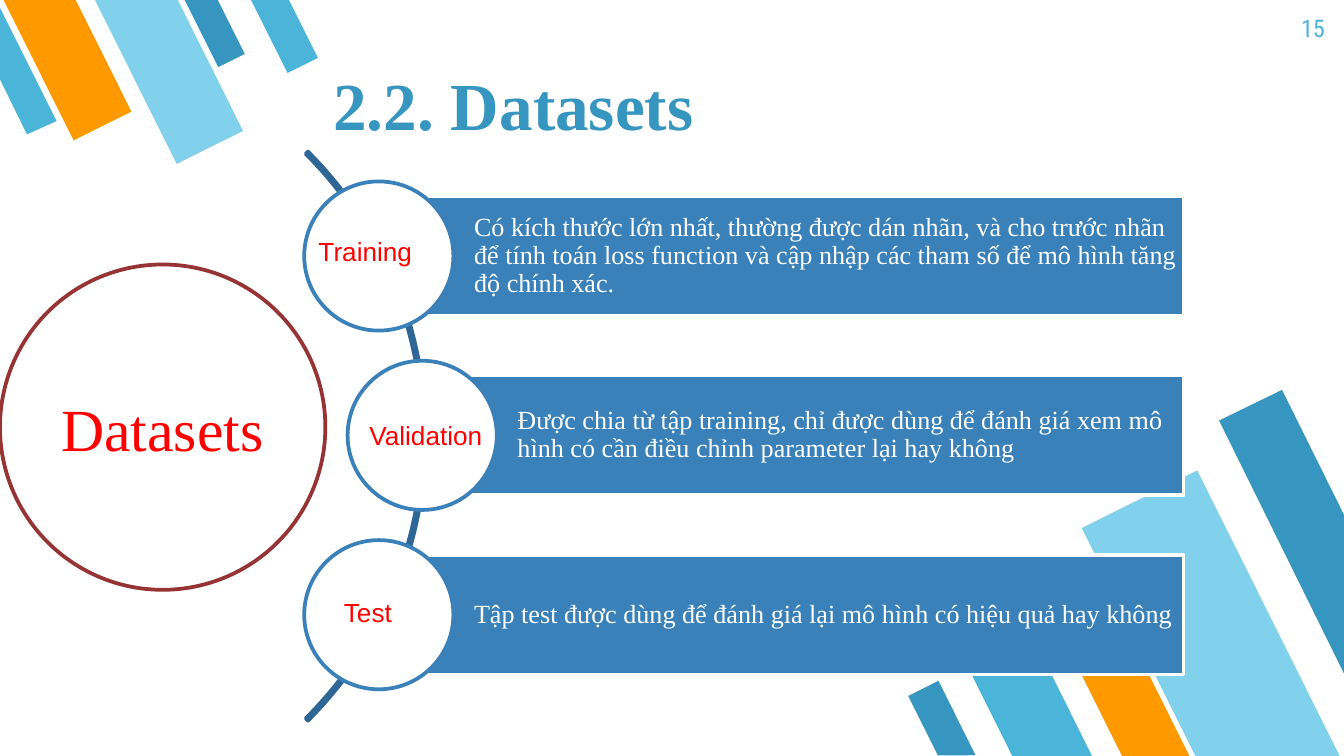
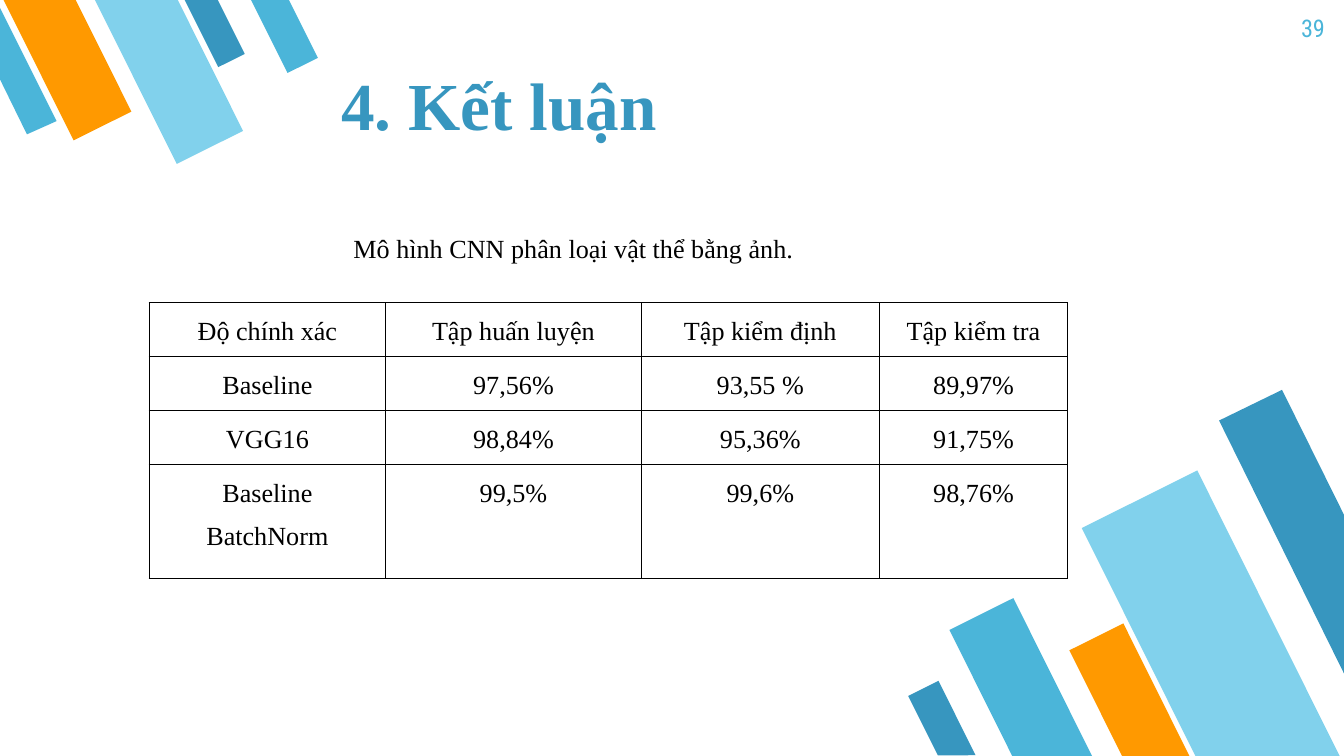
"""Builds the datasets slide and the conclusion slide of a CNN talk."""
from dataclasses import dataclass

from lxml.etree import SubElement
from pptx import Presentation
from pptx.dml.color import RGBColor
from pptx.enum.shapes import MSO_SHAPE
from pptx.enum.text import MSO_ANCHOR, MSO_AUTO_SIZE, PP_ALIGN
from pptx.oxml.ns import qn
from pptx.util import Cm, Pt


@dataclass(frozen=True)
class Theme:
    sky: str = "4BB5D9"
    pale: str = "81D1EC"
    orange: str = "FF9900"
    teal: str = "3796BF"
    bar: str = "3A81BA"
    arc: str = "2E6795"
    ring: str = "963334"
    red: str = "FF0000"
    white: str = "FFFFFF"
    black: str = "000000"
    serif: str = "Times New Roman"
    sans: str = "Arial"
    condensed: str = "Roboto Condensed"
    title: int = 36
    hub: int = 32
    body: int = 14
    number: int = 13


T = Theme()
WIDTH, HEIGHT = 25.4, 14.29
LOWER_TURN, UPPER_TURN = 153.5, 333.5
BANDS = [
    (18.62, 11.43, 1.35, 3.35, LOWER_TURN, T.sky),
    (21.67, 9.12, 2.44, 6.07, LOWER_TURN, T.pale),
    (20.78, 11.89, 1.14, 2.82, LOWER_TURN, T.orange),
    (17.48, 12.93, 0.64, 1.57, LOWER_TURN, T.teal),
    (3.78, -0.2, 0.56, 1.42, UPPER_TURN, T.teal),
    (0.66, -0.46, 1.22, 3, UPPER_TURN, T.orange),
    (2.49, -0.51, 1.4, 3.48, UPPER_TURN, T.pale),
    (5.05, -0.25, 0.64, 1.57, UPPER_TURN, T.sky),
]
CUT_BANDS = [
    ([(24.23, 7.37), (23.04, 7.95), (WIDTH, 12.73), (WIDTH, 9.73)], T.teal),
    ([(0.51, 2.54), (1.07, 2.29), (0, 0.15), (0, 1.5)], T.sky),
]
DATASETS = [
    ("Training", (5.77, 4.32, 2.31, 0.86), 7.16,
     "Có kích thước lớn nhất, thường được dán nhãn, và cho trước nhãn để tính "
     "toán loss function và cập nhập các tham số để mô hình tăng độ chính xác."),
    ("Validation", (6.73, 7.8, 2.84, 0.86), 7.98,
     "Được chia từ tập training, chỉ được dùng để đánh giá xem mô hình có cần "
     "điều chỉnh parameter lại hay không"),
    ("Test", (6.25, 11.15, 1.63, 0.86), 7.16,
     "Tập test được dùng để đánh giá lại mô hình có hiệu quả hay không"),
]
BAR_TOP, BAR_PITCH, BAR_HEIGHT, BAR_RIGHT, CIRCLE = 3.71, 3.39, 2.26, 22.37, 2.82
ACCURACY = [
    ("Độ chính xác", "Tập huấn luyện", "Tập kiểm định", "Tập kiểm tra"),
    ("Baseline", "97,56%", "93,55 %", "89,97%"),
    ("VGG16", "98,84%", "95,36%", "91,75%"),
    ("Baseline BatchNorm", "99,5%", "99,6%", "98,76%"),
]


class Deck:
    def __init__(self, theme):
        self.theme = theme
        self.prs = Presentation()
        self.prs.slide_width, self.prs.slide_height = Cm(WIDTH), Cm(HEIGHT)
        self.s = None

    def slide(self, title, left, number):
        t = self.theme
        self.s = self.prs.slides.add_slide(self.prs.slide_layouts[6])
        for *box, turn, color in BANDS:
            self.band(box, turn, color)
        for points, color in CUT_BANDS:
            self.polygon(points, color)
        self.text((left, 1.09, 16, 1.88), title, t.title, t.teal, bold=True,
                  anchor=MSO_ANCHOR.BOTTOM, margins=(0.25,) * 4)
        self.text((23.77, 0, 1.52, 1.09), number, t.number, t.sky, t.condensed,
                  align=PP_ALIGN.RIGHT, margins=(0.25,) * 4)

    def paint(self, sp, fill=None, line=None):
        sp.shadow.inherit = False
        if fill:
            sp.fill.solid()
            sp.fill.fore_color.rgb = RGBColor.from_string(fill)
        else:
            sp.fill.background()
        if line:
            sp.line.color.rgb = RGBColor.from_string(line)
            sp.line.width = Pt(2)
        else:
            sp.line.fill.background()
        return sp

    def shape(self, kind, box, fill=None, line=None):
        sp = self.s.shapes.add_shape(kind, *map(Cm, box))
        return self.paint(sp, fill, line)

    def band(self, box, turn, color):
        sp = self.shape(MSO_SHAPE.FLOWCHART_MANUAL_INPUT, box, color)
        sp.rotation = turn
        sp.element.spPr.find(qn("a:xfrm")).set("flipH", "1")

    def polygon(self, points, color):
        start, *rest = [(Cm(x), Cm(y)) for x, y in points]
        builder = self.s.shapes.build_freeform(*start)
        builder.add_line_segments(rest, close=True)
        self.paint(builder.convert_to_shape(), color)

    def style(self, p, size, color, font=None, bold=False, align=PP_ALIGN.LEFT,
              spacing=None):
        p.alignment = align
        p.line_spacing = spacing
        p.font.name = font or self.theme.serif
        p.font.size = Pt(size)
        p.font.bold = bold
        p.font.color.rgb = RGBColor.from_string(color)

    def fill_text(self, sp, text, size, color, font=None, anchor=MSO_ANCHOR.TOP,
                  margins=(0.25, 0.13, 0.25, 0.13), wrap=True, **style):
        tf = sp.text_frame
        tf.word_wrap = wrap
        tf.auto_size = MSO_AUTO_SIZE.NONE if wrap else MSO_AUTO_SIZE.SHAPE_TO_FIT_TEXT
        tf.vertical_anchor = anchor
        (tf.margin_left, tf.margin_top,
         tf.margin_right, tf.margin_bottom) = map(Cm, margins)
        p = tf.paragraphs[0]
        p.text = text
        self.style(p, size, color, font, **style)

    def text(self, box, *args, **kwargs):
        self.fill_text(self.s.shapes.add_textbox(*map(Cm, box)), *args, **kwargs)

    def dataset(self, top, label, label_box, left, note):
        t = self.theme
        bar = self.shape(MSO_SHAPE.RECTANGLE,
                         (left, top, BAR_RIGHT - left, BAR_HEIGHT), t.bar, t.white)
        self.fill_text(bar, note, t.body, t.white, anchor=MSO_ANCHOR.MIDDLE,
                       margins=(1.8, 0.1, 0.1, 0.1), spacing=0.9)
        circle_top = top + (BAR_HEIGHT - CIRCLE) / 2
        self.shape(MSO_SHAPE.OVAL, (left - CIRCLE / 2, circle_top, CIRCLE, CIRCLE),
                   t.white, t.bar)
        self.text(label_box, label, t.body, t.red, t.sans, wrap=False)

    def border(self, cell):
        tc_pr = cell._tc.get_or_add_tcPr()
        for side in ("a:lnL", "a:lnR", "a:lnT", "a:lnB"):
            ln = SubElement(tc_pr, qn(side), w=str(Pt(0.75)))
            fill = SubElement(ln, qn("a:solidFill"))
            SubElement(fill, qn("a:srgbClr"), val=self.theme.black)

    def table(self, left, top, widths, heights, rows):
        t = self.theme
        tbl = self.s.shapes.add_table(
            len(rows), len(widths), Cm(left), Cm(top),
            Cm(sum(widths)), Cm(sum(heights))).table
        tbl.first_row = tbl.horz_banding = False
        for column, width in zip(tbl.columns, widths):
            column.width = Cm(width)
        for row, height, values in zip(tbl.rows, heights, rows):
            row.height = Cm(height)
            for cell, value in zip(row.cells, values):
                self.border(cell)
                cell.fill.background()
                cell.margin_left = cell.margin_right = Cm(0.19)
                cell.margin_top = cell.margin_bottom = 0
                p = cell.text_frame.paragraphs[0]
                p.text = value
                self.style(p, t.body, t.black, align=PP_ALIGN.CENTER, spacing=1.5)


def datasets_slide(deck):
    t = deck.theme
    deck.slide("2.2. Datasets", 6.05, "15")
    arc = deck.shape(MSO_SHAPE.BLOCK_ARC, (-7.16, 0.64, 15.21, 15.21), line=t.arc)
    for i, value in enumerate((189, 27, 0.004)):
        arc.adjustments[i] = value
    for i, row in enumerate(DATASETS):
        deck.dataset(BAR_TOP + i * BAR_PITCH, *row)
    hub = deck.shape(MSO_SHAPE.OVAL, (0, 5, 6.15, 6.15), t.white, t.ring)
    deck.fill_text(hub, "Datasets", t.hub, t.red, anchor=MSO_ANCHOR.MIDDLE,
                   align=PP_ALIGN.CENTER)


def conclusion_slide(deck):
    t = deck.theme
    deck.slide("4. Kết luận", 6.2, "39")
    deck.text((6.43, 4.27, 8.89, 1.45), "Mô hình CNN phân loại vật thể bằng ảnh.",
              t.body, t.black, wrap=False)
    deck.table(2.82, 5.72, (4.47, 4.83, 4.5, 3.56), (1.02, 1.02, 1.02, 2.16), ACCURACY)


def main():
    deck = Deck(T)
    datasets_slide(deck)
    conclusion_slide(deck)
    deck.prs.save("out.pptx")


if __name__ == "__main__":
    main()
